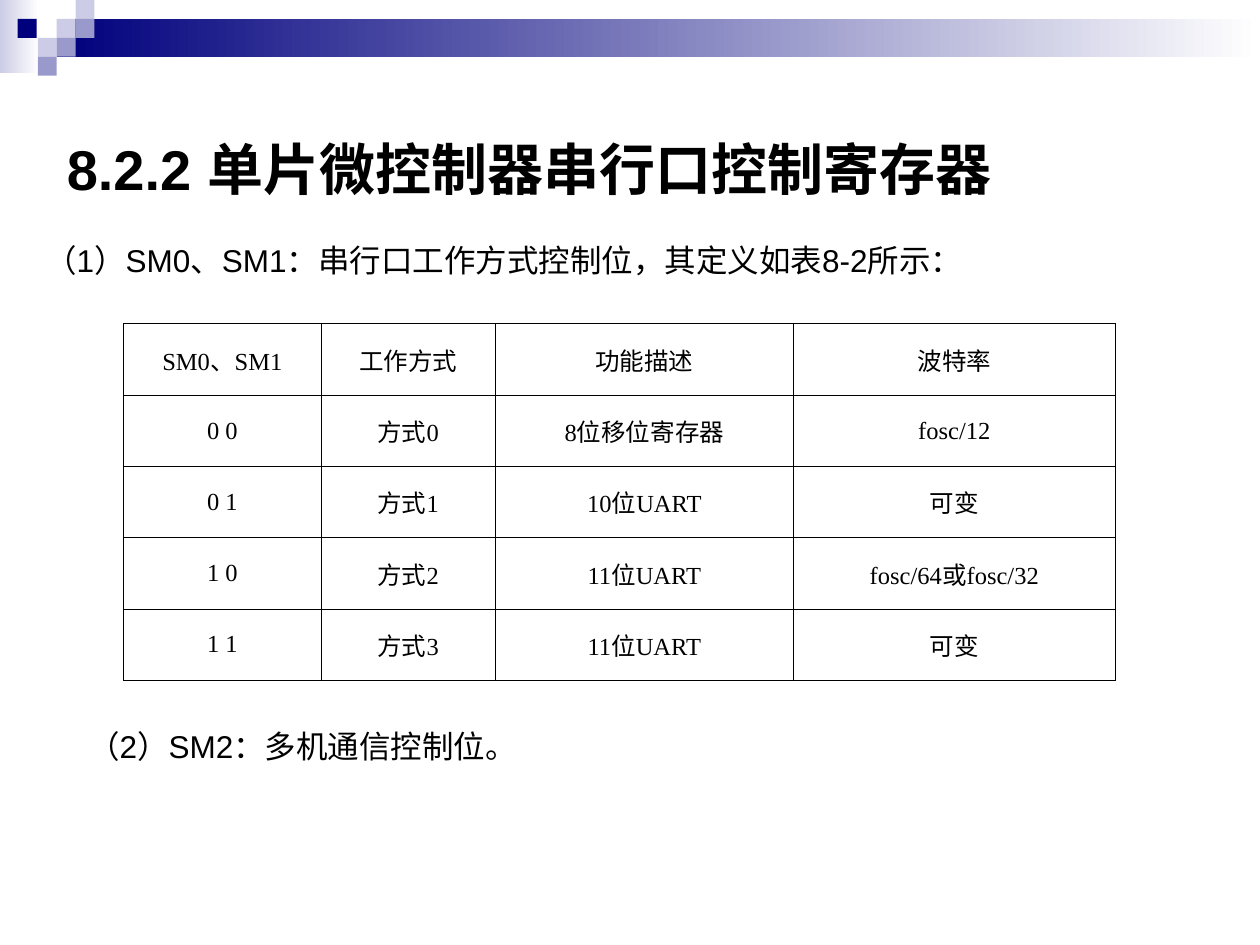
from lxml import etree
from pptx import Presentation
from pptx.dml.color import RGBColor
from pptx.enum import shapes, text
from pptx.oxml.ns import qn
from pptx.util import Inches, Pt

COLORS = {"black": "000000", "white": "FFFFFF", "navy": "00007D",
          "pale": "CCCCE6", "lilac": "9999CC"}
SQUARE = 0.15
SQUARES = [(0.45, 0.15, "pale"), (0.6, 0, "pale"), (0.6, 0.15, "lilac"),
           (0.3, 0.3, "pale"), (0.14, 0.15, "navy"), (0.45, 0.3, "lilac"),
           (0.3, 0.45, "lilac")]
COLUMN_WIDTHS = [1.57, 1.38, 2.37, 2.55]
MODES = [
    ["SM0、SM1", "工作方式", "功能描述", "波特率"],
    ["0 0", "方式0", "8位移位寄存器", "fosc/12"],
    ["0 1", "方式1", "10位UART", "可变"],
    ["1 0", "方式2", "11位UART", "fosc/64或fosc/32"],
    ["1 1", "方式3", "11位UART", "可变"],
]


def color(name):
    return RGBColor.from_string(COLORS[name])


def write(frame, words, size, font="Arial", bold=False, align=text.PP_ALIGN.LEFT):
    paragraph = frame.paragraphs[0]
    paragraph.alignment = align
    run = paragraph.add_run()
    run.text = words
    run.font.size = Pt(size)
    run.font.name = font
    run.font.bold = bold
    run.font.color.rgb = color("black")


def add_block(slide, box, fill, fade=False):
    shape = slide.shapes.add_shape(shapes.MSO_SHAPE.RECTANGLE, *map(Inches, box))
    shape.shadow.inherit = False
    shape.line.fill.background()
    if fade:
        shape.fill.gradient()
        shape.fill.gradient_angle = 180
        for stop, name in zip(shape.fill.gradient_stops, ("white", fill)):
            stop.color.rgb = color(name)
    else:
        shape.fill.solid()
        shape.fill.fore_color.rgb = color(fill)


def add_banner(slide, box):
    left, top, width, height = box
    add_block(slide, (left, top, 0.31, height), "pale", fade=True)
    add_block(slide, (left + 0.45, top + 0.15, width - 0.45, 0.3), "navy", fade=True)
    for x, y, fill in SQUARES:
        add_block(slide, (left + x, top + y, SQUARE, SQUARE), fill)


def add_title(slide, box, words):
    title = slide.shapes.title
    title.left, title.top, title.width, title.height = map(Inches, box)
    frame = title.text_frame
    frame.auto_size = text.MSO_AUTO_SIZE.NONE
    frame.vertical_anchor = text.MSO_ANCHOR.MIDDLE
    frame.margin_top = Inches(0.18)
    write(frame, words, 32, bold=True)


def add_note(slide, box, words, indent=0.1):
    frame = slide.shapes.add_textbox(*map(Inches, box)).text_frame
    frame.word_wrap = False
    frame.auto_size = text.MSO_AUTO_SIZE.SHAPE_TO_FIT_TEXT
    frame.vertical_anchor = text.MSO_ANCHOR.MIDDLE
    frame.margin_left = Inches(indent)
    write(frame, words, 18)


def add_borders(cell):
    properties = cell._tc.get_or_add_tcPr()
    for side in ("a:lnL", "a:lnR", "a:lnT", "a:lnB"):
        line = etree.SubElement(properties, qn(side), w=str(Pt(0.45)))
        fill = etree.SubElement(line, qn("a:solidFill"))
        etree.SubElement(fill, qn("a:srgbClr"), val=COLORS["black"])


def add_mode_table(slide, box, rows):
    table = slide.shapes.add_table(len(rows), len(rows[0]), *map(Inches, box)).table
    table.first_row = table.horz_banding = False
    for column, width in zip(table.columns, COLUMN_WIDTHS):
        column.width = Inches(width)
    for row, values in zip(table.rows, rows):
        for cell, value in zip(row.cells, values):
            add_borders(cell)
            cell.fill.background()
            cell.vertical_anchor = text.MSO_ANCHOR.MIDDLE
            write(cell.text_frame, value, 14, "Times New Roman",
                  align=text.PP_ALIGN.CENTER)


def main():
    presentation = Presentation()
    presentation.slide_width = Inches(10)
    presentation.slide_height = Inches(7.5)
    slide = presentation.slides.add_slide(presentation.slide_layouts[5])
    add_banner(slide, (0, 0, 10, 0.58))
    add_title(slide, (0.43, 0.52, 9, 1.5), "8.2.2 单片微控制器串行口控制寄存器")
    add_mode_table(slide, (0.98, 2.57, 7.87, 2.83), MODES)
    add_note(slide, (0.26, 1.86, 7.96, 0.4),
             "（1）SM0、SM1：串行口工作方式控制位，其定义如表8-2所示：")
    add_note(slide, (0.55, 5.72, 3.9, 0.4), "（2）SM2：多机通信控制位。", indent=0.15)
    presentation.save("out.pptx")


if __name__ == "__main__":
    main()
